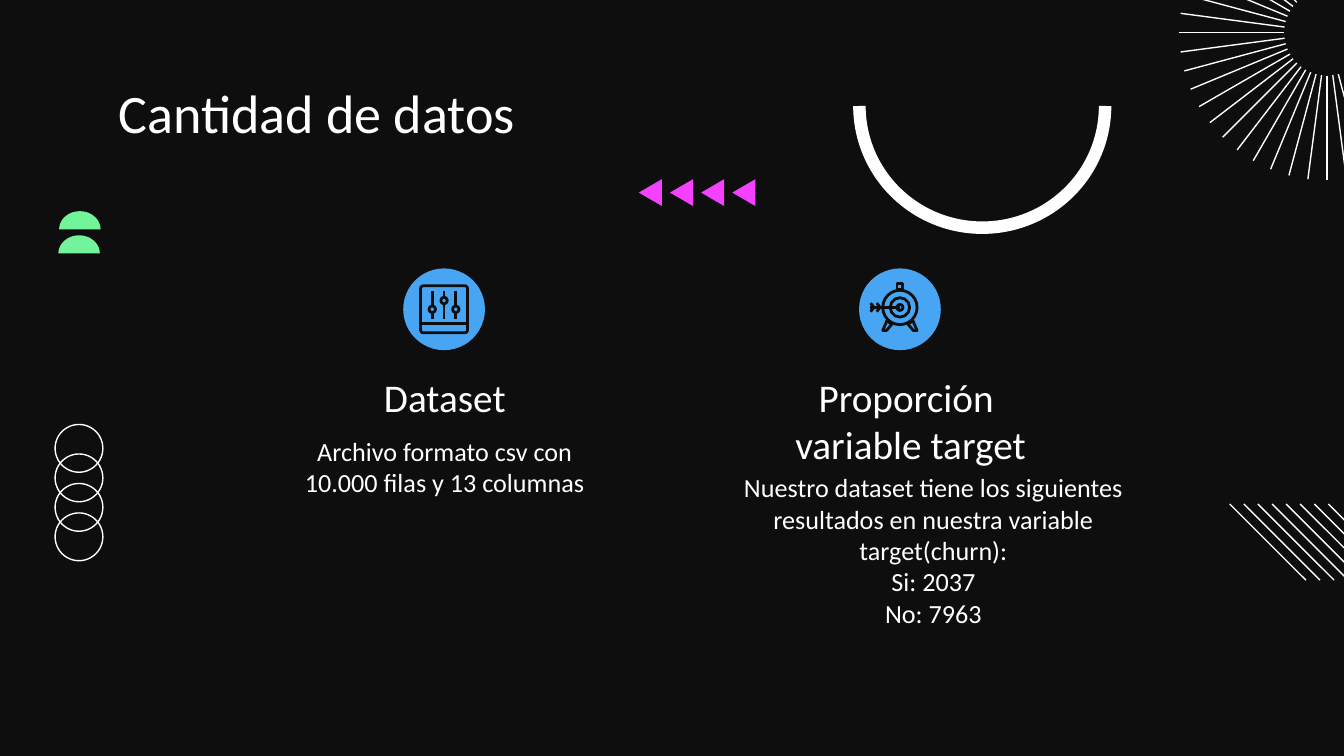
import math

import pptx
import pptx.dml.color
import pptx.enum.shapes
import pptx.enum.text
import pptx.oxml.ns
import pptx.util
from lxml import etree

Pt = pptx.util.Pt
RGBColor = pptx.dml.color.RGBColor
Preset = pptx.enum.shapes.MSO_SHAPE
Align = pptx.enum.text.PP_ALIGN

BLACK = RGBColor(0x0E, 0x0E, 0x0E)
WHITE = RGBColor(0xFF, 0xFF, 0xFF)
GREEN = RGBColor(0x72, 0xF4, 0x9A)
BLUE = RGBColor(0x47, 0xA5, 0xF3)
PINK = RGBColor(0xF3, 0x41, 0xFF)


def paint(shape, fill=None, line=None, weight=0.75):
    shape.shadow.inherit = False
    if fill is None:
        shape.fill.background()
    else:
        shape.fill.solid()
        shape.fill.fore_color.rgb = fill
    if line is None:
        shape.line.fill.background()
    else:
        shape.line.color.rgb = line
        shape.line.width = Pt(weight)


def add_preset(slide, preset, left, top, width, height, **colors):
    shape = slide.shapes.add_shape(preset, Pt(left), Pt(top), Pt(width), Pt(height))
    paint(shape, **colors)
    return shape


def add_circle(slide, x, y, radius, **colors):
    return add_preset(slide, Preset.OVAL, x - radius, y - radius, 2 * radius, 2 * radius, **colors)


def add_outline(slide, points, close=True, **colors):
    corners = [(Pt(x), Pt(y)) for x, y in points]
    builder = slide.shapes.build_freeform(*corners[0])
    builder.add_line_segments(corners[1:], close=close)
    paint(builder.convert_to_shape(), **colors)


def add_line(slide, x1, y1, x2, y2, color=WHITE, weight=0.75):
    straight = pptx.enum.shapes.MSO_CONNECTOR.STRAIGHT
    line = slide.shapes.add_connector(straight, Pt(x1), Pt(y1), Pt(x2), Pt(y2))
    line.line.color.rgb = color
    line.line.width = Pt(weight)
    etree.SubElement(line._element.spPr, pptx.oxml.ns.qn("a:effectLst"))


def write_text(box, text, size=14, color=WHITE, font="Calibri", align=Align.CENTER, inset_top=0):
    frame = box.text_frame
    frame.word_wrap = True
    frame.auto_size = pptx.enum.text.MSO_AUTO_SIZE.NONE
    frame.vertical_anchor = pptx.enum.text.MSO_ANCHOR.TOP
    frame.margin_left = frame.margin_right = frame.margin_bottom = Pt(7.2)
    frame.margin_top = Pt(inset_top)
    frame.text = text
    for paragraph in frame.paragraphs:
        paragraph.alignment = align
        for run in paragraph.runs:
            run.font.size = Pt(size)
            run.font.name = font
            run.font.color.rgb = color


def add_text(slide, left, top, width, height, text, **text_format):
    box = slide.shapes.add_textbox(Pt(left), Pt(top), Pt(width), Pt(height))
    write_text(box, text, **text_format)


def add_title(slide, text):
    title = slide.shapes.title
    title.left, title.top, title.width, title.height = Pt(56.2), Pt(42.5), Pt(607.7), Pt(33.1)
    write_text(title, text, size=29, align=Align.LEFT)


def add_dome(slide, x, base):
    angles = [math.radians(180 + 6 * step) for step in range(31)]
    add_outline(slide, [(x + 11.1 * math.cos(a), base + 9.7 * math.sin(a)) for a in angles], fill=GREEN)


def add_sunburst(slide, x, y, inner, outer):
    for step in range(21):
        angle = math.radians(75 + 7.5 * step)
        across, down = math.cos(angle), math.sin(angle)
        add_line(slide, x + outer * across, y + outer * down, x + inner * across, y + inner * down)


def add_decorations(slide):
    add_dome(slide, 42.8, 122.9)
    add_dome(slide, 42.4, 135.8)
    for step in range(4):
        add_circle(slide, 42.3, 287.6 - 15.8 * step, 12.8, line=WHITE)
    add_sunburst(slide, 711, 17.5, 23, 79.2)
    for step in range(8):
        x = 658.8 + 7.55 * step
        add_line(slide, x, 270, x + 40.8, 310.8)
    for step in range(4):
        tip = 342.2 + 16.7 * step
        add_outline(slide, [(tip + 12.4, 96), (tip, 103.2), (tip + 12.4, 110.4)], fill=PINK)
    smile = add_preset(slide, Preset.ARC, 460.4, -8.4, 131.6, 130.4, line=WHITE, weight=6.69)
    smile.adjustments[0] = 0
    smile.adjustments[1] = 108


def add_sliders_icon(slide, x, y):
    add_circle(slide, x, y, 21.9, fill=BLUE)
    frame = add_preset(slide, Preset.ROUNDED_RECTANGLE, x - 12.6, y - 12.6, 25.2, 25.2, line=BLACK, weight=1.5)
    frame.adjustments[0] = 0.06
    add_line(slide, x - 12.6, y + 7.7, x + 12.6, y + 7.7, color=BLACK, weight=1.5)
    for offset, knob in ((-6.3, 0), (0, -4.7), (6.3, 0)):
        add_line(slide, x + offset, y - 10, x + offset, y + 5, color=BLACK, weight=1.5)
        add_circle(slide, x + offset, y + knob, 1.7, fill=BLUE, line=BLACK, weight=1.5)


def add_target_icon(slide, x, y):
    ink = {"line": BLACK, "weight": 1.5}
    add_circle(slide, x, y, 21.9, fill=BLUE)
    center = y - 1
    add_preset(slide, Preset.RECTANGLE, x - 1.5, center - 12.9, 3, 3.2, **ink)
    for side in (-1, 1):
        leg = [(7, 7.2), (9.2, 12.4), (7.2, 12.4), (4.3, 9)]
        add_outline(slide, [(x + side * dx, center + dy) for dx, dy in leg], **ink)
    for radius in (9.2, 5.2, 1.6):
        add_circle(slide, x, center, radius, **ink)
    add_line(slide, x - 15.8, center, x, center, color=BLACK, weight=1.5)
    for feather in (-15.7, -12.4):
        barbs = [(feather, -2.3), (feather + 1.8, 0), (feather, 2.3)]
        add_outline(slide, [(x + dx, center + dy) for dx, dy in barbs], close=False, **ink)


def main():
    deck = pptx.Presentation()
    deck.slide_width, deck.slide_height = Pt(720), Pt(405)
    slide = deck.slides.add_slide(deck.slide_layouts[5])
    slide.background.fill.solid()
    slide.background.fill.fore_color.rgb = BLACK

    add_decorations(slide)
    add_title(slide, "Cantidad de datos")

    add_sliders_icon(slide, 237.9, 165.7)
    add_text(slide, 148.3, 193, 180, 34.6, "Dataset", size=21, inset_top=7.2)
    add_text(slide, 148.3, 233.3, 180, 52.6, "Archivo formato csv con 10.000 filas y 13 columnas")

    add_target_icon(slide, 482.1, 165.7)
    add_text(slide, 327.6, 193, 320.4, 34.6, "Proporción \vvariable target", size=21, inset_top=7.2)
    add_text(
        slide, 374.4, 252.7, 251.3, 52.6,
        "Nuestro dataset tiene los siguientes resultados en nuestra variable target(churn):"
        "\vSi: 2037\nNo: 7963",
    )
    deck.save("out.pptx")


if __name__ == "__main__":
    main()
